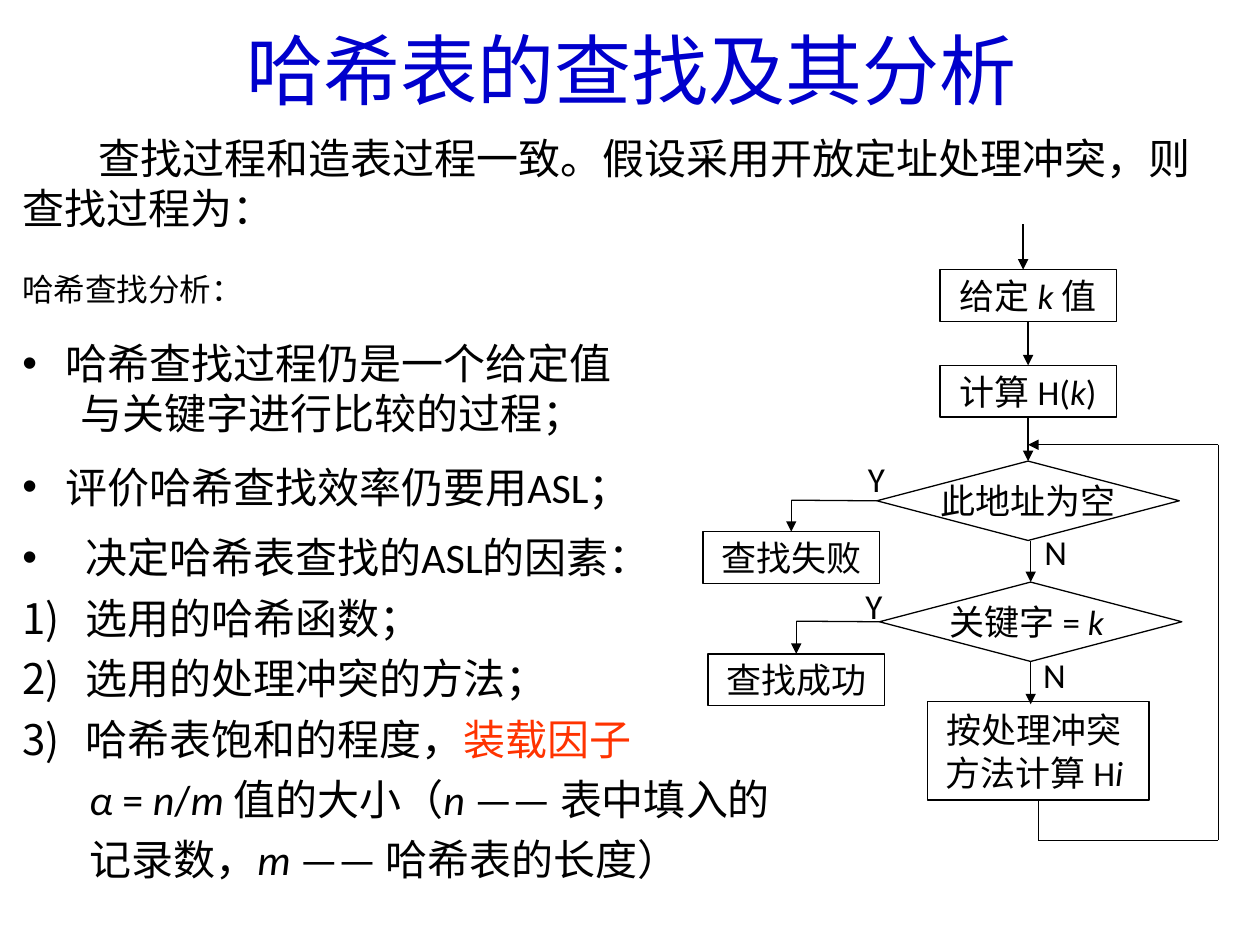
from lxml import etree
from pptx import Presentation
from pptx import util as u
from pptx.dml.color import RGBColor
from pptx.enum import shapes, text
from pptx.oxml.ns import qn

BLACK, BLUE, RED = "000000", "0000CC", "FF3300"
LATIN, CHINESE = "Calibri", "Noto Sans CJK SC"

# A run is (text, style): "" plain, "i" italic, "r" red.
# A paragraph is (runs, left margin, first-line indent, bullet).
TITLE = [([("哈希表的查找及其分析", "")], 0, 0, "")]
INTRO = [
    ([("查找过程和造表过程一致。假设采用开放定址处理冲突，则", "")], 0, 0.6, ""),
    ([("查找过程为：", "")], 0, 0, ""),
]
ANALYSIS = [([("哈希查找分析：", "")], 0, 0, "")]
PROCESS = [
    ([("哈希查找过程仍是一个给定值", "")], 0.34, -0.34, "•"),
    ([("与关键字进行比较的过程；", "")], 0.46, 0, ""),
]
MEASURE = [([("评价哈希查找效率仍要用ASL；", "")], 0.34, -0.34, "•")]
FACTORS = [
    ([("决定哈希表查找的ASL的因素：", "")], 0.5, -0.5, "•"),
    ([("选用的哈希函数；", "")], 0.5, -0.5, "1)"),
    ([("选用的处理冲突的方法；", "")], 0.5, -0.5, "1)"),
    ([("哈希表饱和的程度，", ""), ("装载因子", "r")], 0.5, -0.5, "1)"),
    ([("α ", "i"), ("= ", ""), ("n", "i"), ("/", ""), ("m ", "i"), ("值的大小（", ""),
      ("n", "i"), (" —— 表中填入的", "")], 0.53, 0, ""),
    ([("记录数，", ""), ("m", "i"), (" —— 哈希表的长度）", "")], 0.53, 0, ""),
]

# paragraphs, (left, top, width, height), size, font, colour, line spacing, wrap
MARGIN = 0.08
TEXTS = [
    (TITLE, (1.86, 0.13, 6.52, 0.84), 44, CHINESE, BLUE, 1, False),
    (INTRO, (MARGIN, 1, 9.71, 0.91), 24, LATIN, BLACK, 1, True),
    (ANALYSIS, (MARGIN, 2.09, 2.61, 0.5), 18, LATIN, BLACK, 1, False),
    (PROCESS, (MARGIN, 2.63, 5.19, 0.91), 24, LATIN, BLACK, 1, False),
    (MEASURE, (MARGIN, 3.61, 5.44, 0.5), 24, LATIN, BLACK, 1, False),
    (FACTORS, (MARGIN, 4.09, 6.42, 2.98), 24, LATIN, BLACK, 1.2, False),
]

SPINE = 8.16
BOX, DIAMOND, WIDE = (1.4, 0.41), (2.4, 0.63), (1.76, 0.78)
# step: lines of runs, (width, height), centre x, top
STEPS = {
    "given": ([[("给定 ", ""), ("k ", "i"), ("值", "")]], BOX, SPINE, 2.14),
    "hash": ([[("计算 H(", ""), ("k", "i"), (")", "")]], BOX, SPINE, 2.9),
    "empty": ([[("此地址为空", "")]], DIAMOND, SPINE, 3.66),
    "equal": ([[("关键字 = ", ""), ("k ", "i")]], DIAMOND, SPINE + 0.02, 4.62),
    "failed": ([[("查找失败", "")]], BOX, 6.28, 4.22),
    "found": ([[("查找成功", "")]], BOX, 6.32, 5.19),
    "rehash": ([[("按处理冲突 ", "")], [("方法计算 H", ""), ("i ", "i")]], WIDE, 8.24, 5.57),
}
BRANCH_LABELS = [("Y", 6.79, 3.58), ("N", 8.19, 4.16), ("Y", 6.77, 4.59), ("N", 8.18, 5.14)]

# Each end is a point or (step, side); the last value tells whether it has an arrowhead.
TOP, LEFT, BOTTOM = 0, 1, 2
LOOP_X, LOOP_TOP, LOOP_BOTTOM = 9.67, 3.53, 6.67
FLOWS = [
    ((SPINE - 0.04, 1.78), (SPINE - 0.04, 2.14), True),
    (("given", BOTTOM), ("hash", TOP), True),
    (("hash", BOTTOM), ("empty", TOP), True),
    ((SPINE + 0.02, 4.29), ("equal", TOP), True),
    (("equal", BOTTOM), (SPINE + 0.02, 5.59), True),
    (("empty", LEFT), (6.28, 3.97), False),
    ((6.28, 3.97), ("failed", TOP), True),
    (("equal", LEFT), (6.32, 4.93), False),
    ((6.32, 4.93), ("found", TOP), True),
    (("rehash", BOTTOM), (8.24, LOOP_BOTTOM), False),
    ((8.24, LOOP_BOTTOM), (LOOP_X, LOOP_BOTTOM), False),
    ((LOOP_X, LOOP_BOTTOM), (LOOP_X, LOOP_TOP), False),
    ((LOOP_X, LOOP_TOP), (SPINE, LOOP_TOP), True),
]


def rgb(value):
    return RGBColor.from_string(value)


def set_indent(paragraph, left, first, bullet, number):
    props = paragraph._p.get_or_add_pPr()
    props.set("marL", str(u.Inches(left)))
    props.set("indent", str(u.Inches(first)))
    if bullet == "•":
        etree.SubElement(props, qn("a:buFont"), typeface="Arial")
        etree.SubElement(props, qn("a:buChar"), char=bullet)
    elif bullet:
        etree.SubElement(props, qn("a:buAutoNum"), type="arabicParenR", startAt=str(number))


def write(paragraph, runs, size, font=LATIN, colour=BLACK):
    paragraph.font.size = u.Pt(size)
    paragraph.font.name = font
    paragraph.font.color.rgb = rgb(colour)
    for words, style in runs:
        run = paragraph.add_run()
        run.text = words
        run.font.size = u.Pt(size)
        run.font.name = font
        run.font.italic = style == "i"
        run.font.color.rgb = rgb(RED if style == "r" else colour)


def next_paragraph(frame, index):
    return frame.add_paragraph() if index else frame.paragraphs[0]


def add_text(slide, paragraphs, place, size, font, colour, spacing, wrap):
    frame = slide.shapes.add_textbox(*map(u.Inches, place)).text_frame
    frame.word_wrap = wrap
    for index, (runs, left, first, bullet) in enumerate(paragraphs):
        paragraph = next_paragraph(frame, index)
        paragraph.line_spacing = spacing
        set_indent(paragraph, left, first, bullet, 1)
        write(paragraph, runs, size, font, colour)


def add_step(slide, lines, size, centre, top):
    kind = shapes.MSO_SHAPE.FLOWCHART_DECISION if size == DIAMOND else shapes.MSO_SHAPE.FLOWCHART_PROCESS
    place = (centre - size[0] / 2, top, *size)
    step = slide.shapes.add_shape(kind, *map(u.Inches, place))
    step.shadow.inherit = False
    step.fill.background()
    step.line.color.rgb = rgb(BLACK)
    step.line.width = u.Pt(0.75)
    frame = step.text_frame
    frame.word_wrap = False
    frame.vertical_anchor = text.MSO_ANCHOR.MIDDLE
    for index, runs in enumerate(lines):
        paragraph = next_paragraph(frame, index)
        paragraph.alignment = text.PP_ALIGN.CENTER
        write(paragraph, runs, 20)
    return step


def add_flow(slide, steps, start, end, arrow):
    points = [(0, 0) if end_ in () or end_[0] in steps else end_ for end_ in (start, end)]
    flow = slide.shapes.add_connector(
        shapes.MSO_CONNECTOR.STRAIGHT, *(u.Inches(value) for point in points for value in point))
    for place, join in ((start, flow.begin_connect), (end, flow.end_connect)):
        if place[0] in steps:
            join(steps[place[0]], place[1])
    flow.line.color.rgb = rgb(BLACK)
    flow.line.width = u.Pt(0.75)
    if arrow:
        etree.SubElement(flow.line._get_or_add_ln(), qn("a:tailEnd"), type="triangle")
    etree.SubElement(flow._element.spPr, qn("a:effectLst"))


def main():
    deck = Presentation()
    deck.slide_width, deck.slide_height = u.Inches(10), u.Inches(7.5)
    slide = deck.slides.add_slide(deck.slide_layouts[6])
    for block in TEXTS:
        add_text(slide, *block)
    steps = {key: add_step(slide, *step) for key, step in STEPS.items()}
    for flow in FLOWS:
        add_flow(slide, steps, *flow)
    for label, left, top in BRANCH_LABELS:
        add_text(slide, [([(label, "")], 0, 0, "")], (left, top, 0.4, 0.43), 20, LATIN, BLACK, 1, False)
    deck.save("out.pptx")


if __name__ == "__main__":
    main()
